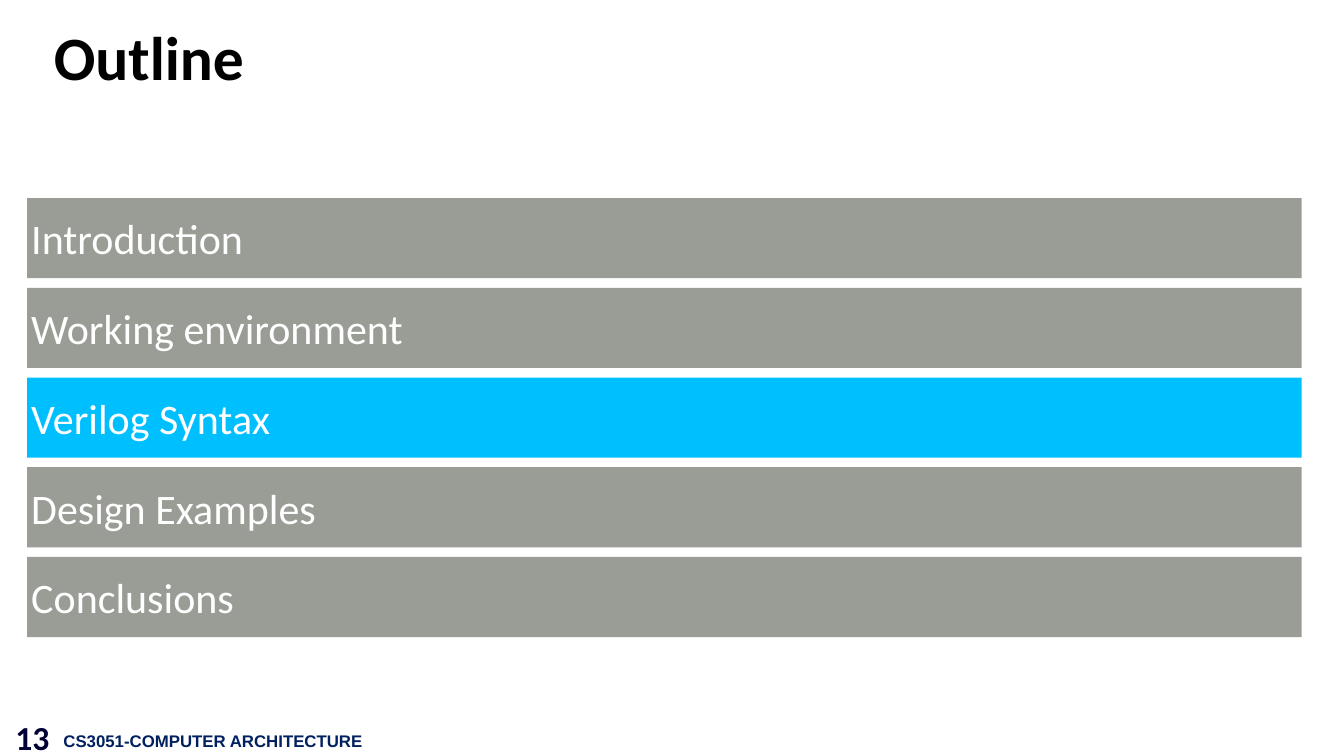
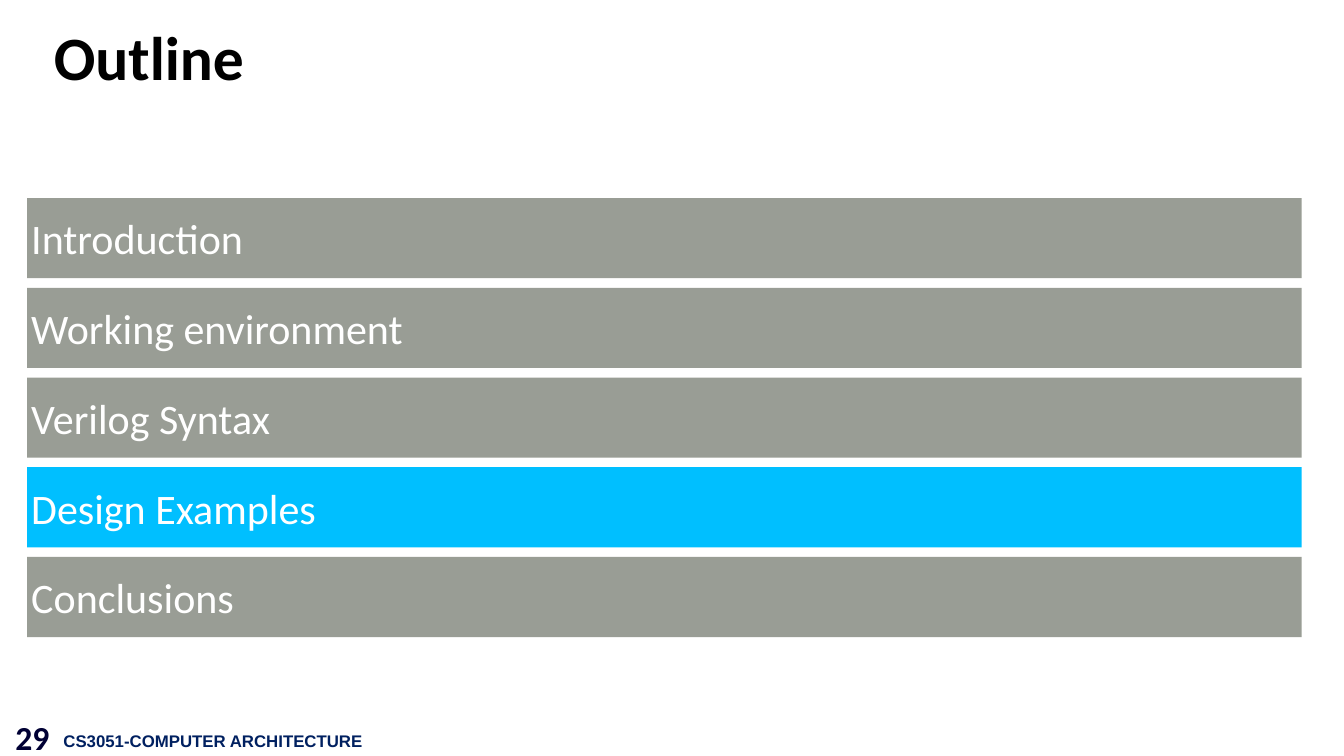
"""Build the outline divider slides of a computer architecture course."""
from pptx import Presentation
from pptx.dml.color import RGBColor
from pptx.enum.shapes import MSO_SHAPE
from pptx.enum.text import MSO_ANCHOR, PP_ALIGN
from pptx.util import Inches, Pt

RECTANGLE = MSO_SHAPE.RECTANGLE
TOP, MIDDLE = MSO_ANCHOR.TOP, MSO_ANCHOR.MIDDLE
LEFT, RIGHT = PP_ALIGN.LEFT, PP_ALIGN.RIGHT

WHITE = RGBColor(0xFF, 0xFF, 0xFF)
BLACK = RGBColor(0x00, 0x00, 0x00)
NAVY = RGBColor(0x00, 0x20, 0x60)
MIDNIGHT = RGBColor(0x00, 0x00, 0x34)
GRAY = RGBColor(0x99, 0x9D, 0x95)
SKY_BLUE = RGBColor(0x00, 0xBF, 0xFF)

SLIDE_WIDTH, SLIDE_HEIGHT = 26.67, 15
BLANK_LAYOUT = 6

TITLE_BOX = (0.97, 0.24, 24.29, 1.94)
TOPICS_BOX = (0.54, 3.93, 25.29, 8.71)
FOOTER_BOX = (0.08, 14.11, 7.29, 1.01)
TOPIC_GAP = 0.19

TITLE_FONT = {"name": "Calibri", "size": Pt(88), "bold": True}
TOPIC_FONT = {"name": "Calibri", "size": Pt(60), "bold": False}
NUMBER_FONT = {"name": "Calibri", "size": Pt(48), "bold": True}
COURSE_FONT = {"name": "Arial", "size": Pt(24), "bold": True}

COURSE = "CS3051-COMPUTER ARCHITECTURE"
TOPICS = ["Introduction", "Working environment", "Verilog Syntax",
          "Design Examples", "Conclusions"]
OUTLINE_SLIDES = [(13, "Verilog Syntax"), (29, "Design Examples")]


def set_attributes(target, values):
    """Set each attribute of the target from a dict of format values."""
    for name, value in values.items():
        setattr(target, name, value)


def write_text(shape, text, font, color, inset=0.1, anchor=MIDDLE,
               alignment=LEFT, wrap=True, line_spacing=1.0):
    """Write one formatted paragraph into a shape."""
    frame = shape.text_frame
    set_attributes(frame, {"word_wrap": wrap, "vertical_anchor": anchor})
    for side in ("left", "top", "right", "bottom"):
        setattr(frame, f"margin_{side}", Inches(inset))
    paragraph = frame.paragraphs[0]
    paragraph.text = text
    set_attributes(paragraph, {"alignment": alignment,
                               "line_spacing": line_spacing})
    set_attributes(paragraph.font, font)
    paragraph.font.color.rgb = color


def add_text_box(slide, box, *text_arguments, **text_options):
    """Add a text box at a place in inches and write its text."""
    shape = slide.shapes.add_textbox(*map(Inches, box))
    write_text(shape, *text_arguments, **text_options)


def add_title(slide, box, title):
    """Add the slide title."""
    add_text_box(slide, box, title, TITLE_FONT, BLACK, line_spacing=0.9)


def add_footer(slide, box, number):
    """Add the slide number and, to its right, the course name."""
    left, top, width, height = box
    number_width, course_left, course_top = 1, 1.08, 0.34
    add_text_box(slide, (left, top, number_width, height), str(number),
                 NUMBER_FONT, MIDNIGHT, alignment=RIGHT)
    course_box = (left + course_left, top + course_top,
                  width - course_left, height / 2)
    add_text_box(slide, course_box, COURSE, COURSE_FONT, NAVY,
                 inset=0.1, anchor=MIDDLE, wrap=False)


def add_topics(slide, box, current_topic):
    """Stack equal topic bars and highlight the current one."""
    left, top, width, height = box
    row_step = (height + TOPIC_GAP) / len(TOPICS)
    for row, topic in enumerate(TOPICS):
        bar = slide.shapes.add_shape(
            RECTANGLE, Inches(left), Inches(top + row * row_step),
            Inches(width), Inches(row_step - TOPIC_GAP))
        bar.shadow.inherit = False
        bar.fill.solid()
        bar.fill.fore_color.rgb = SKY_BLUE if topic == current_topic else GRAY
        bar.line.fill.background()
        write_text(bar, topic, TOPIC_FONT, WHITE, inset=0.08)


def add_outline_slide(presentation, number, current_topic):
    """Add an outline slide that points at the current topic."""
    layout = presentation.slide_layouts[BLANK_LAYOUT]
    slide = presentation.slides.add_slide(layout)
    slide.background.fill.solid()
    slide.background.fill.fore_color.rgb = WHITE
    add_title(slide, TITLE_BOX, "Outline")
    add_footer(slide, FOOTER_BOX, number)
    add_topics(slide, TOPICS_BOX, current_topic)


def main():
    """Build and save the presentation."""
    presentation = Presentation()
    set_attributes(presentation, {"slide_width": Inches(SLIDE_WIDTH),
                                  "slide_height": Inches(SLIDE_HEIGHT)})
    for number, current_topic in OUTLINE_SLIDES:
        add_outline_slide(presentation, number, current_topic)
    presentation.save("out.pptx")


if __name__ == "__main__":
    main()
